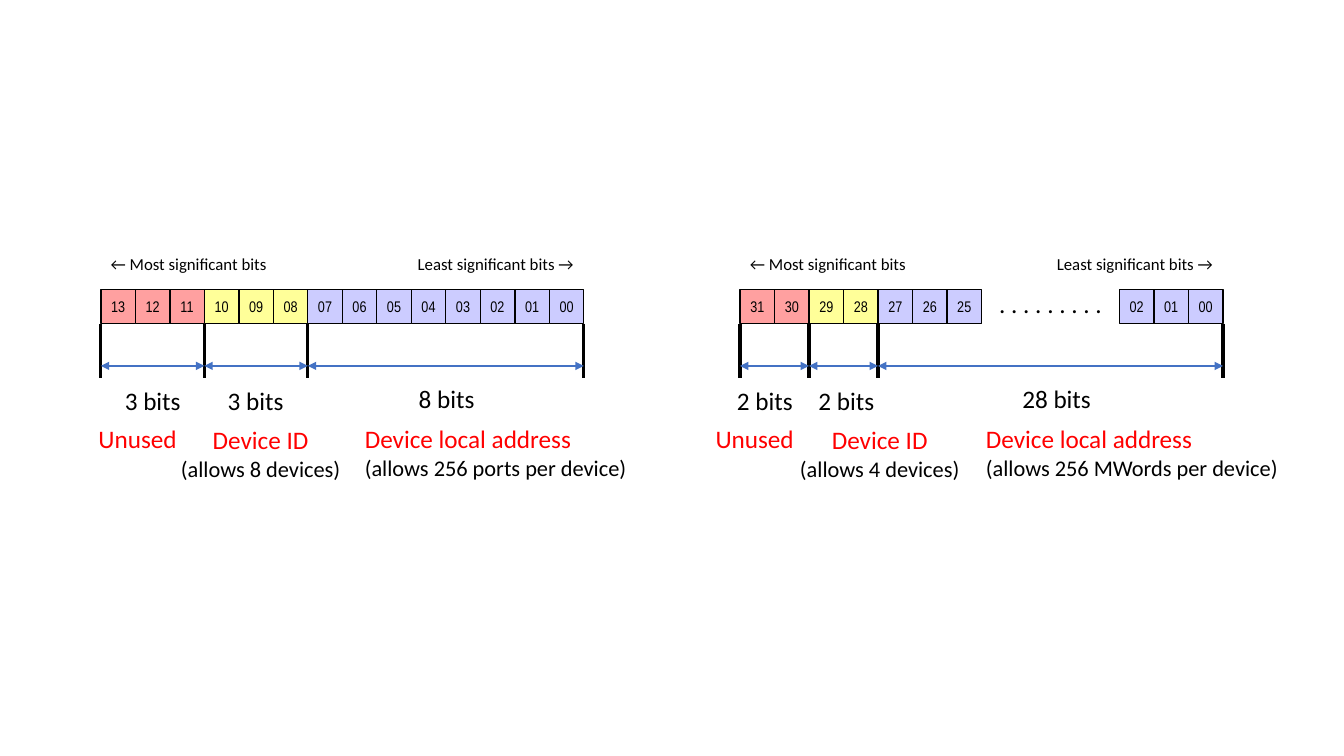
from dataclasses import dataclass
from lxml.etree import SubElement
from pptx import Presentation
from pptx.dml.color import RGBColor
from pptx.enum.shapes import MSO_CONNECTOR, MSO_SHAPE
from pptx.enum.text import MSO_ANCHOR, MSO_AUTO_SIZE, PP_ALIGN
from pptx.oxml.ns import qn
from pptx.util import Inches, Pt


@dataclass(frozen=True)
class Theme:
    black: str = "000000"
    red: str = "FF0000"
    blue: str = "4472C4"
    fills: tuple = ("FFA0A0", "FFFF99", "CCCCFF")
    font: str = "Calibri"
    narrow: str = "Arial Narrow"
    tiny: int = 11
    small: int = 12
    note: int = 16
    large: int = 18


@dataclass(frozen=True)
class Word:
    left: float
    top_bit: int
    spans: tuple
    counts: tuple
    places: tuple
    names: tuple
    notes: tuple
    dots: bool = False


THEME = Theme()
SLOTS = 14
WIDTH = 4.79
CELL = WIDTH / SLOTS
ROW = 2.87
HEAD = 7
GAP = range(HEAD, 11)

WORDS = (
    Word(1, 13, (3, 3, 8), ("3 bits", "3 bits", "8 bits"),
         ((1, 1.03), (2.02, 1.03), (3.06, 2.74)),
         ((0.86, 1.01), (1.08, 3.01), (3.52, 3.3)),
         ("", "(allows 8 devices)", "(allows 256 ports per device)")),
    Word(7.34, 31, (2, 2, 10), ("2 bits", "2 bits", "28 bits"),
         ((7.19, 0.79), (7.96, 0.87), (8.83, 3.3)),
         ((6.98, 1.01), (7.22, 3.01), (9.68, 3.3)),
         ("", "(allows 4 devices)", "(allows 256 MWords per device)"), True),
)
FIELDS = (
    ("Unused", 4.15, 3.77, PP_ALIGN.CENTER),
    ("Device ID", 4.16, 3.77, PP_ALIGN.CENTER),
    ("Device local address", 4.15, 3.75, PP_ALIGN.LEFT),
)


def color(code):
    return RGBColor.from_string(code)


def add_run(para, text, size, code):
    run = para.add_run()
    run.text = text
    run.font.size = Pt(size)
    run.font.color.rgb = color(code)


def add_text(slide, box, text, size=THEME.large, code=THEME.black,
             align=PP_ALIGN.CENTER, note=""):
    frame = slide.shapes.add_textbox(*map(Inches, box)).text_frame
    frame.word_wrap = True
    frame.auto_size = MSO_AUTO_SIZE.SHAPE_TO_FIT_TEXT
    frame.vertical_anchor = MSO_ANCHOR.MIDDLE
    para = frame.paragraphs[0]
    para.alignment = align
    para.font.name = THEME.font
    if note:
        add_run(para, text, size, code)
        para.add_line_break()
        add_run(para, note, THEME.note, THEME.black)
    else:
        para.text = text
        para.font.size = Pt(size)
        para.font.color.rgb = color(code)


def add_cell(slide, left, text, fill):
    cell = slide.shapes.add_shape(
        MSO_SHAPE.RECTANGLE, Inches(left), Inches(ROW), Inches(CELL), Inches(CELL))
    cell.shadow.inherit = False
    cell.fill.solid()
    cell.fill.fore_color.rgb = color(fill)
    cell.line.color.rgb = color(THEME.black)
    cell.line.width = Pt(1)
    frame = cell.text_frame
    frame.margin_left = frame.margin_right = 0
    frame.margin_top = frame.margin_bottom = 0
    frame.vertical_anchor = MSO_ANCHOR.MIDDLE
    para = frame.paragraphs[0]
    para.text = text
    para.alignment = PP_ALIGN.CENTER
    para.font.name = THEME.narrow
    para.font.size = Pt(THEME.tiny)
    para.font.color.rgb = color(THEME.black)


def add_line(slide, start, end, code, width):
    line = slide.shapes.add_connector(
        MSO_CONNECTOR.STRAIGHT, *map(Inches, (*start, *end)))
    line.line.color.rgb = color(code)
    line.line.width = Pt(width)
    SubElement(line._element.spPr, qn("a:effectLst"))
    return line


def add_arrow(slide, left, right):
    arrow = add_line(slide, (left, 3.63), (right, 3.63), THEME.blue, 1)
    outline = arrow.line._get_or_add_ln()
    for end in ("a:headEnd", "a:tailEnd"):
        SubElement(outline, qn(end), type="triangle")


def add_tick(slide, left):
    add_line(slide, (left, ROW + CELL), (left, 3.75), THEME.black, 2.25)


def add_word(slide, word):
    fills = [fill for fill, span in zip(THEME.fills, word.spans)
             for _ in range(span)]
    for slot, fill in enumerate(fills):
        if word.dots and slot in GAP:
            continue
        bit = word.top_bit - slot if slot < HEAD else SLOTS - 1 - slot
        add_cell(slide, word.left + slot * CELL, f"{bit:02}", fill)

    edge = word.left
    add_tick(slide, edge)
    for span in word.spans:
        start, edge = edge, edge + span * CELL
        add_tick(slide, edge)
        add_arrow(slide, start, edge)

    rows = zip(FIELDS, word.counts, word.places, word.names, word.notes)
    for (name, top, count_top, align), count, place, spot, note in rows:
        add_text(slide, (place[0], count_top, place[1], 0.4), count)
        add_text(slide, (spot[0], top, spot[1], 0.67 if note else 0.4), name,
                 code=THEME.red, align=align, note=note)

    add_text(slide, (word.left, 2.47, 2.74, 0.3), "← Most significant bits",
             THEME.small, align=PP_ALIGN.LEFT)
    add_text(slide, (word.left + WIDTH - 2.17, 2.47, 2.17, 0.3),
             "Least significant bits →", THEME.small, align=PP_ALIGN.RIGHT)
    if word.dots:
        add_text(slide, (word.left + HEAD * CELL, 2.81, len(GAP) * CELL, 0.4),
                 ". . . . . . . . .")


def main():
    deck = Presentation()
    deck.slide_width = Inches(13.33)
    deck.slide_height = Inches(7.5)
    slide = deck.slides.add_slide(deck.slide_layouts[6])
    for word in WORDS:
        add_word(slide, word)
    deck.save("out.pptx")


if __name__ == "__main__":
    main()
